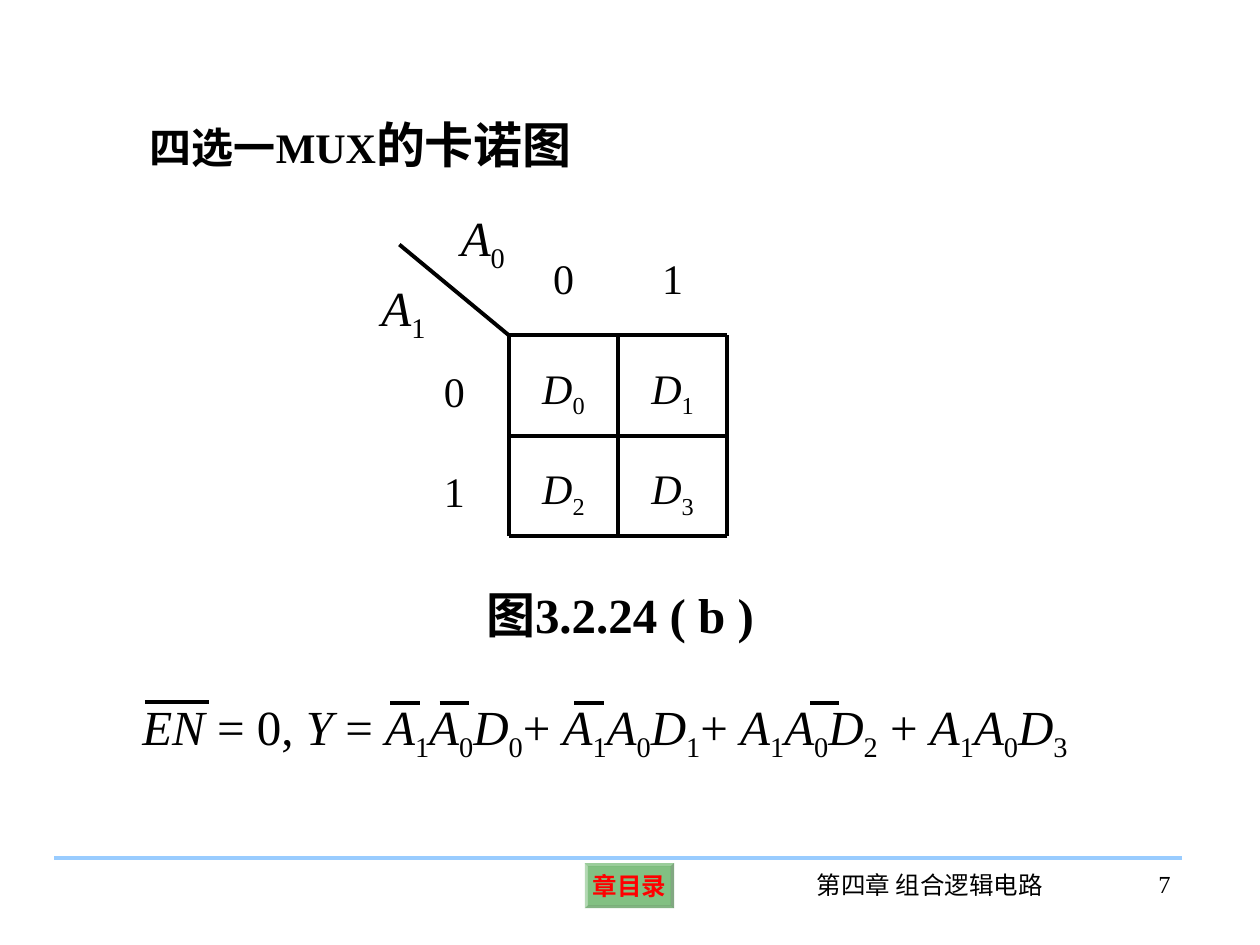
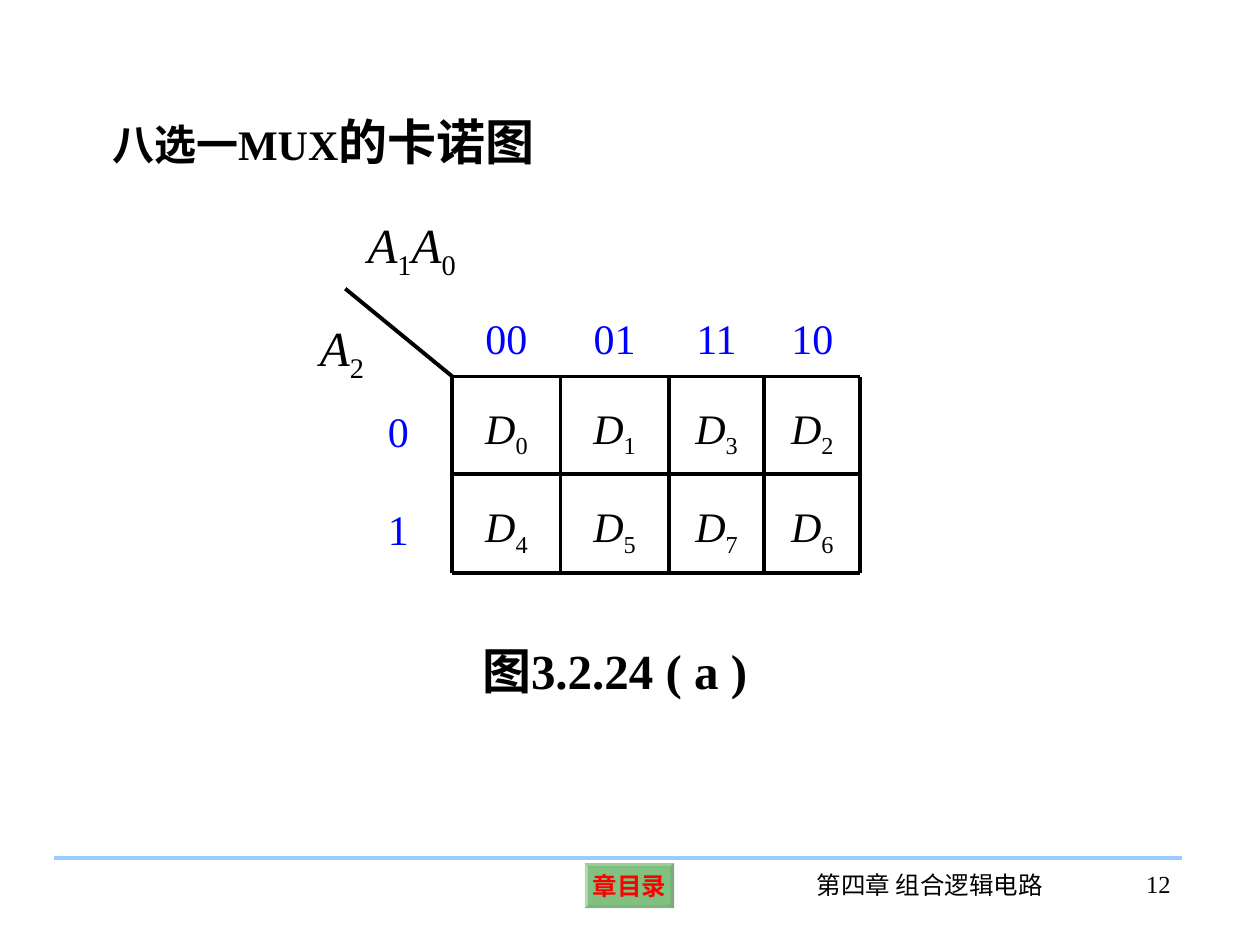
from itertools import accumulate, groupby

from lxml import etree
from pptx import Presentation
from pptx.dml.color import RGBColor
from pptx.enum.shapes import MSO_CONNECTOR, MSO_SHAPE
from pptx.enum.text import MSO_ANCHOR, PP_ALIGN
from pptx.oxml.ns import qn
from pptx.util import Cm, Pt

BLACK = RGBColor(0x00, 0x00, 0x00)
BLUE = RGBColor(0x00, 0x00, 0xFF)
RED = RGBColor(0xFF, 0x00, 0x00)
GREEN = RGBColor(0x00, 0x80, 0x00)
SKY = RGBColor(0x99, 0xCC, 0xFF)

FONT = "Times New Roman"
LEFT, CENTER, RIGHT = PP_ALIGN.LEFT, PP_ALIGN.CENTER, PP_ALIGN.RIGHT
TOP, MIDDLE = MSO_ANCHOR.TOP, MSO_ANCHOR.MIDDLE
STRAIGHT, BEVEL = MSO_CONNECTOR.STRAIGHT, MSO_SHAPE.BEVEL

CELL_PT, SYMBOL_PT, FOOTER_PT = 24, 28, 14
CELL_INSET = 0.05


# Text
def add_runs(paragraph, runs, color=BLACK):
    """Each run is (text, font format values, is subscript)."""
    for text, formats, subscript in runs:
        run = paragraph.add_run()
        run.text = text
        for name, value in {"name": FONT, **formats}.items():
            setattr(run.font, name, value)
        run.font.color.rgb = color
        if subscript:
            run.font._element.set("baseline", "-25000")


def plain(text, size, bold=False):
    return [(text, {"size": Pt(size), "bold": bold}, False)]


def char_kind(char):
    return "letter" if char.isalpha() else "digit" if char.isdigit() else "sign"


def formula(text, size):
    """Letters are italic; digits right after a letter are subscripts."""
    runs, previous = [], None
    for kind, chars in groupby(text, char_kind):
        formats = {"size": Pt(size), "italic": kind == "letter"}
        runs.append(("".join(chars), formats, kind == "digit" and previous == "letter"))
        previous = kind
    return runs


def add_text(slide, box, runs, align=LEFT, color=BLACK):
    frame = slide.shapes.add_textbox(*map(Cm, box)).text_frame
    frame.word_wrap = True
    frame.vertical_anchor = TOP
    frame.paragraphs[0].alignment = align
    add_runs(frame.paragraphs[0], runs, color)
    return frame


def add_cell(slide, box, text, color=BLACK):
    frame = add_text(slide, box, formula(text, CELL_PT), CENTER, color)
    frame.vertical_anchor = MIDDLE
    for side in ("left", "top", "right", "bottom"):
        setattr(frame, f"margin_{side}", Cm(CELL_INSET))
    frame.paragraphs[0].line_spacing = 1.2


# Lines
def add_line(slide, x1, y1, x2, y2, color=BLACK):
    line = slide.shapes.add_connector(STRAIGHT, *map(Cm, (x1, y1, x2, y2)))
    line.line.color.rgb = color
    line.line.width = Pt(2.25)
    etree.SubElement(line._element.spPr, qn("a:effectLst"))


# Footer with the contents button
def add_contents_button(slide):
    button = slide.shapes.add_shape(BEVEL, Cm(11.79), Cm(17.4), Cm(1.8), Cm(0.91))
    button.adjustments[0] = 0.07
    button.shadow.inherit = False
    button.line.fill.background()
    button.fill.solid()
    button.fill.fore_color.rgb = GREEN
    green = button._element.spPr.find(qn("a:solidFill")).find(qn("a:srgbClr"))
    etree.SubElement(green, qn("a:alpha"), val="49000")
    frame = button.text_frame
    frame.word_wrap = False
    frame.vertical_anchor = MIDDLE
    for side in ("left", "top", "right", "bottom"):
        setattr(frame, f"margin_{side}", Cm(0.1))
    frame.paragraphs[0].alignment = CENTER
    add_runs(frame.paragraphs[0], plain("章目录", FOOTER_PT, True), RED)


def add_footer(slide, number):
    add_contents_button(slide)
    add_line(slide, 1.09, 17.3, 23.83, 17.3, SKY)
    add_text(slide, (15.85, 17.42, 5.79, 1.27),
             plain("第四章 组合逻辑电路", FOOTER_PT), CENTER)
    add_text(slide, (21.67, 17.4, 2.18, 1.27), plain(str(number), FOOTER_PT), RIGHT)


# Title and caption
def add_title(slide, left, top, device):
    runs = plain(device, 24, True) + plain("的卡诺图", 28, True)
    add_text(slide, (left, top, 9.3, 2.64), runs)


def add_caption(slide, left, top, text):
    add_text(slide, (left, top, 6.43, 1.45), plain(text, 28, True))


# Karnaugh map: headings above and left of a ruled grid
def add_map(slide, left, top, widths, heights, head_height,
            columns, rows, cells, diagonal_start, head_color=BLACK):
    xs = list(accumulate(widths, initial=left))
    ys = list(accumulate(heights, initial=top))
    for x, width, code in zip(xs, widths, columns):
        add_cell(slide, (x, top - head_height, width, head_height), code, head_color)
    for y, height, code, inputs in zip(ys, heights, rows, cells):
        add_cell(slide, (left - widths[0], y, widths[0], height), code, head_color)
        for x, width, data in zip(xs, widths, inputs):
            add_cell(slide, (x, y, width, height), data)
    for x in xs:
        add_line(slide, x, top, x, ys[-1])
    for y in ys:
        add_line(slide, left, y, xs[-1], y)
    add_line(slide, *diagonal_start, left, top)


def add_variable(slide, left, top, width, name):
    add_text(slide, (left, top, width, 1.6), formula(name, SYMBOL_PT))


# Output equation with its negation bars
def add_equation(slide):
    add_text(slide, (2.62, 13.92, 21.06, 1.6),
             formula("EN = 0, Y = A1A0D0+ A1A0D1+ A1A0D2 + A1A0D3", SYMBOL_PT))
    add_line(slide, 2.92, 14.15, 4.22, 14.15)
    for x in (7.87, 8.86, 11.58, 16.33):
        add_line(slide, x, 14.17, x + 0.59, 14.17)


def four_input_slide(slide):
    add_footer(slide, 7)
    add_map(slide, 10.26, 6.76, [2.2] * 2, [2.02] * 2, 2.52,
            ["0", "1"], ["0", "1"], [["D0", "D1"], ["D2", "D3"]], (8.05, 4.93))
    add_variable(slide, 7.44, 5.46, 2.29, "A1")
    add_variable(slide, 9.04, 4.06, 1.93, "A0")
    add_title(slide, 2.77, 2.18, "四选一MUX")
    add_caption(slide, 9.55, 11.66, "图3.2.24 ( b )")
    add_equation(slide)


def eight_input_slide(slide):
    add_footer(slide, 12)
    add_title(slide, 2.01, 2.13, "八选一MUX")
    add_map(slide, 9.12, 7.59, [2.18, 2.18, 1.93, 1.93], [1.97, 2], 1.78,
            ["00", "01", "11", "10"], ["0", "1"],
            [["D0", "D1", "D3", "D2"], ["D4", "D5", "D7", "D6"]],
            (6.96, 5.82), BLUE)
    add_variable(slide, 6.2, 6.27, 2.24, "A2")
    add_variable(slide, 7.16, 4.19, 3.73, "A1A0")
    add_caption(slide, 9.47, 12.78, "图3.2.24 ( a )")


def main():
    deck = Presentation()
    deck.slide_width, deck.slide_height = Cm(25.4), Cm(19.05)
    blank = deck.slide_layouts[6]
    for build in (four_input_slide, eight_input_slide):
        build(deck.slides.add_slide(blank))
    deck.save("out.pptx")


if __name__ == "__main__":
    main()
